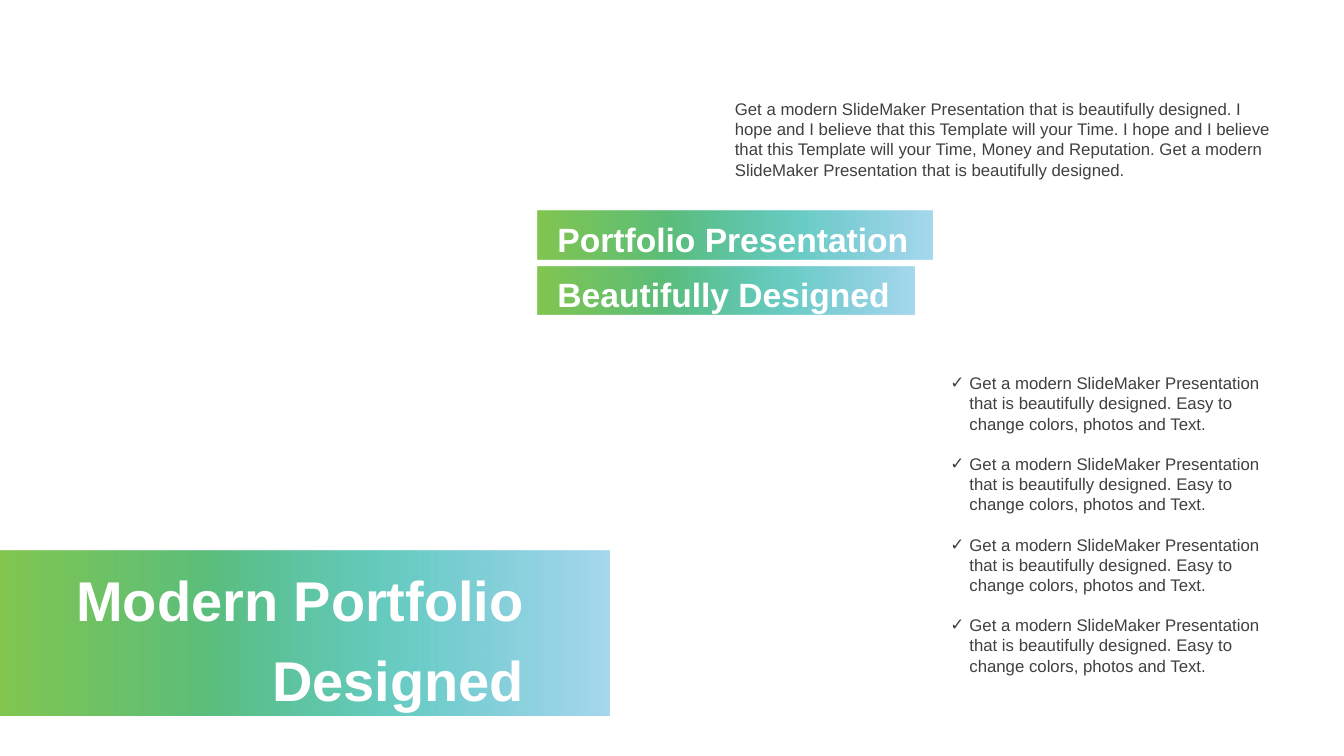
from dataclasses import dataclass

from lxml.etree import SubElement
from pptx import Presentation
from pptx.dml.color import RGBColor
from pptx.enum.shapes import MSO_SHAPE as Preset
from pptx.enum.text import MSO_ANCHOR as Anchor
from pptx.enum.text import MSO_AUTO_SIZE as AutoSize
from pptx.enum.text import PP_ALIGN as Align
from pptx.oxml.ns import qn
from pptx.util import Cm, Pt

FONT = "Arial"
WHITE = "FFFFFF"
GREY = "404040"
LINE_GAP = 14.4
HANGING = Cm(0.48)


@dataclass(frozen=True)
class Box:
    left: float
    top: float
    width: float
    height: float


@dataclass(frozen=True)
class Insets:
    left: float
    top: float
    right: float
    bottom: float


@dataclass(frozen=True)
class Stop:
    percent: int
    hex_color: str
    opacity: int = 100


@dataclass(frozen=True)
class Band:
    box: Box
    insets: Insets
    lines: tuple[str, ...]
    size: float
    align: Align = Align.LEFT


STOPS = (
    Stop(0, "82C650"),
    Stop(33, "5CBE7A"),
    Stop(67, "2CB8AE", 70),
    Stop(100, "249ED2", 40),
)
SUBTITLE_INSETS = Insets(0.51, 0.19, 0.25, 0)
TEXT_INSETS = Insets(0, 0.13, 0.25, 0.13)

HEADLINE = Band(Box(0, 13.87, 15.37, 4.17), Insets(0, 0.32, 2.17, 0),
                ("Modern Portfolio", "Designed"), 40, Align.RIGHT)
SUBTITLES = (
    Band(Box(13.54, 5.31, 9.96, 1.22), SUBTITLE_INSETS, ("Portfolio Presentation",), 24),
    Band(Box(13.54, 6.71, 9.5, 1.22), SUBTITLE_INSETS, ("Beautifully Designed",), 24),
)

OFFER = "Get a modern SlideMaker Presentation that is beautifully designed."
INTRO = (
    f"{OFFER} I hope and I believe that this Template will your Time. "
    "I hope and I believe that this Template will your Time, Money and Reputation. "
    f"{OFFER}"
)
BENEFITS = (f"{OFFER} Easy to change colors, photos and Text.",) * 4


def color(hex_color: str) -> RGBColor:
    return RGBColor.from_string(hex_color)


def place(shape, box: Box) -> None:
    shape.left, shape.top = Cm(box.left), Cm(box.top)
    shape.width, shape.height = Cm(box.width), Cm(box.height)


def set_frame(frame, insets: Insets, anchor: Anchor = Anchor.TOP) -> None:
    frame.word_wrap = True
    frame.auto_size = AutoSize.NONE
    frame.vertical_anchor = anchor
    frame.margin_left, frame.margin_top = Cm(insets.left), Cm(insets.top)
    frame.margin_right, frame.margin_bottom = Cm(insets.right), Cm(insets.bottom)


def write(frame, lines: tuple[str, ...], size: float, hex_color: str,
          bold: bool = False, gap: float = 0, align: Align = Align.LEFT,
          bullet: str = "") -> None:
    for index, line in enumerate(lines):
        paragraph = frame.add_paragraph() if index else frame.paragraphs[0]
        paragraph.alignment = align
        paragraph.space_before = Pt(gap if index else 0)
        if bullet:
            add_bullet(paragraph, bullet)
        run = paragraph.add_run()
        run.text = line
        run.font.name = FONT
        run.font.size = Pt(size)
        run.font.bold = bold
        run.font.color.rgb = color(hex_color)


def add_bullet(paragraph, character: str) -> None:
    properties = paragraph._p.get_or_add_pPr()
    properties.set("marL", str(HANGING))
    properties.set("indent", str(-HANGING))
    SubElement(properties, qn("a:buFont")).set("typeface", FONT)
    SubElement(properties, qn("a:buChar")).set("char", character)


def fill_gradient(shape, stops: tuple[Stop, ...]) -> None:
    fill = shape.fill
    fill.gradient()
    fill.gradient_angle = 0
    stop_list = shape._element.spPr.find(qn("a:gradFill")).find(qn("a:gsLst"))
    for default_stop in list(stop_list):
        stop_list.remove(default_stop)
    for stop in stops:
        entry = SubElement(stop_list, qn("a:gs"))
        entry.set("pos", str(stop.percent * 1000))
        tint = SubElement(entry, qn("a:srgbClr"))
        tint.set("val", str(color(stop.hex_color)))
        if stop.opacity < 100:
            SubElement(tint, qn("a:alpha")).set("val", str(stop.opacity * 1000))


def draw_band(shape, band: Band) -> None:
    place(shape, band.box)
    fill_gradient(shape, STOPS)
    shape.line.fill.background()
    set_frame(shape.text_frame, band.insets, Anchor.MIDDLE)
    write(shape.text_frame, band.lines, band.size, WHITE,
          bold=True, gap=band.size * 0.23, align=band.align)


def main() -> None:
    deck = Presentation()
    deck.slide_width, deck.slide_height = Cm(33.87), Cm(19.05)
    slide = deck.slides.add_slide(deck.slide_layouts[1])

    for subtitle in SUBTITLES:
        bar = slide.shapes.add_shape(Preset.RECTANGLE, 0, 0, 0, 0)
        bar.shadow.inherit = False
        draw_band(bar, subtitle)

    draw_band(slide.shapes.title, HEADLINE)

    intro = slide.shapes.add_textbox(0, 0, 0, 0)
    place(intro, Box(18.52, 2.36, 13.89, 2.31))
    set_frame(intro.text_frame, TEXT_INSETS)
    write(intro.text_frame, (INTRO,), 12, GREY)

    benefits = slide.placeholders[1]
    place(benefits, Box(23.95, 9.27, 8.69, 7.95))
    set_frame(benefits.text_frame, TEXT_INSETS)
    write(benefits.text_frame, BENEFITS, 12, GREY, gap=LINE_GAP, bullet="✓")

    deck.save("out.pptx")


if __name__ == "__main__":
    main()
